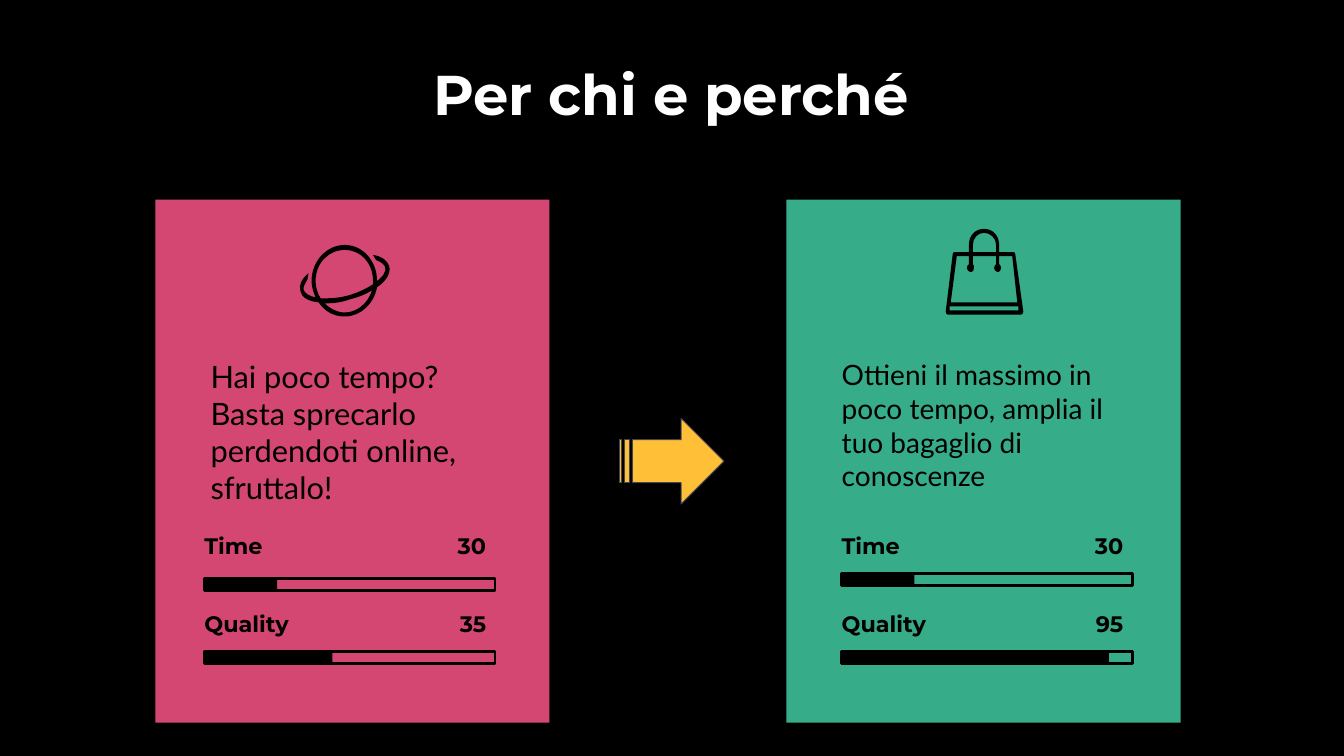
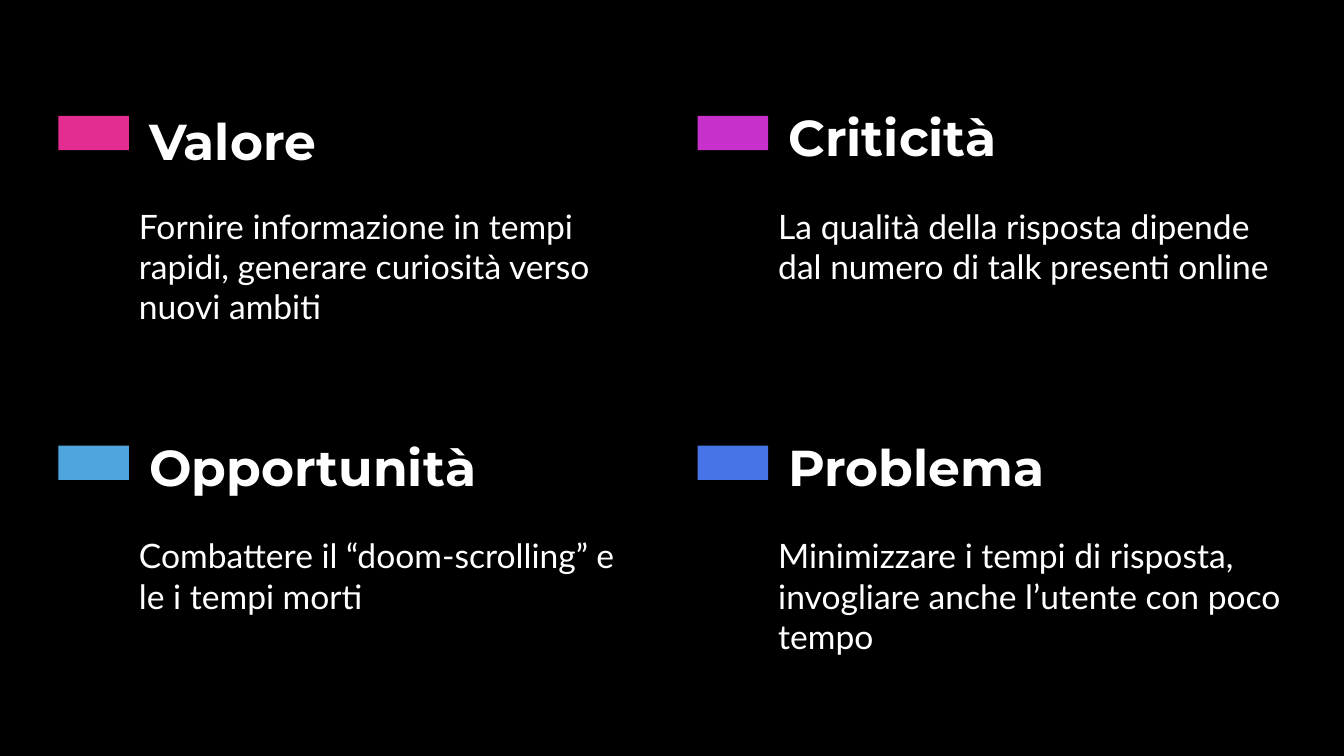
from dataclasses import dataclass

from lxml import etree
from pptx import Presentation
from pptx.dml.color import RGBColor
from pptx.enum.shapes import MSO_SHAPE
from pptx.enum.text import MSO_ANCHOR, PP_ALIGN
from pptx.oxml.ns import qn
from pptx.util import Inches, Pt

RECT, ARROW = MSO_SHAPE.RECTANGLE, MSO_SHAPE.STRIPED_RIGHT_ARROW
TOP, MID = MSO_ANCHOR.TOP, MSO_ANCHOR.MIDDLE
LEFT, MID_X, RIGHT = PP_ALIGN.LEFT, PP_ALIGN.CENTER, PP_ALIGN.RIGHT
WIDE, HIGH = 13.33, 7.5


@dataclass(frozen=True)
class Theme:
    # Colours
    black: str = "000000"
    white: str = "FFFFFF"
    rose: str = "D54773"
    green: str = "36AC88"
    gold: str = "FFC038"
    edge: str = "454551"
    pink: str = "E32D91"
    plum: str = "C830CC"
    sky: str = "4EA6DC"
    blue: str = "4775E7"
    # Fonts and sizes
    head: str = "Montserrat"
    body: str = "Lato"
    title: int = 40
    topic: int = 36
    text: int = 24
    label: int = 16


T = Theme()

# Icon contours in hundredths of an inch: a start, then lines (2) or curves (6)
PLANET = [
    [(90, 21), (88, 15, 82, 11, 74, 10), (75, 12, 76, 13, 77, 15),
     (82, 17, 85, 19, 86, 22), (87, 24, 86, 26, 85, 28),
     (84, 31, 81, 33, 78, 36), (78, 16, 64, 0, 46, 0),
     (28, 0, 13, 16, 13, 36), (13, 42, 15, 47, 17, 52),
     (11, 51, 6, 48, 5, 44), (5, 43, 5, 41, 7, 38),
     (7, 37, 8, 36, 9, 34), (9, 32, 10, 30, 10, 28),
     (3, 34, 0, 40, 2, 46), (3, 52, 10, 56, 20, 57),
     (26, 66, 35, 71, 46, 71), (62, 71, 75, 58, 78, 42),
     (87, 36, 92, 28, 90, 21)],
    [(46, 67), (38, 67, 31, 63, 26, 58), (26, 58, 27, 58, 28, 58),
     (35, 58, 43, 57, 51, 54), (59, 52, 67, 49, 73, 45),
     (69, 58, 58, 67, 46, 67)],
    [(74, 39), (68, 43, 60, 47, 50, 50), (43, 52, 35, 53, 28, 53),
     (26, 53, 24, 53, 22, 53), (19, 48, 17, 42, 17, 36),
     (17, 18, 30, 5, 46, 5), (62, 5, 74, 18, 74, 36),
     (74, 37, 74, 38, 74, 39)],
]
BAG = [
    [(77, 82), (69, 25), (69, 24, 68, 23, 67, 23), (53, 23), (53, 16),
     (53, 7, 47, 0, 38, 0), (29, 0, 23, 7, 23, 16), (23, 23), (9, 23),
     (8, 23, 7, 24, 7, 25), (0, 82), (0, 84, 1, 85, 2, 85), (75, 85),
     (76, 85, 77, 84, 77, 82)],
    [(27, 16), (27, 9, 32, 4, 38, 4), (44, 4, 50, 9, 50, 16), (50, 23),
     (27, 23)],
    [(11, 27), (23, 27), (23, 35), (22, 36, 21, 37, 21, 39),
     (21, 41, 23, 43, 25, 43), (27, 43, 28, 41, 28, 39),
     (28, 37, 28, 36, 27, 35), (27, 27), (50, 27), (50, 35),
     (49, 36, 48, 37, 48, 39), (48, 41, 50, 43, 52, 43),
     (53, 43, 55, 41, 55, 39), (55, 37, 54, 36, 53, 35), (53, 27),
     (66, 27), (71, 73), (5, 73)],
    [(4, 81), (4, 77), (72, 77), (72, 81)],
]


def rgb(code):
    return RGBColor.from_string(code)


def paint(shape, fill=None, line=None, width=1):
    shape.shadow.inherit = False
    if fill:
        shape.fill.solid()
        shape.fill.fore_color.rgb = rgb(fill)
    else:
        shape.fill.background()
    if line:
        shape.line.color.rgb = rgb(line)
        shape.line.width = Pt(width)
    else:
        shape.line.fill.background()


def add_form(slide, box, fill=None, line=None, width=1, kind=RECT):
    shape = slide.shapes.add_shape(kind, *map(Inches, box))
    paint(shape, fill, line, width)


def add_text(slide, box, text, size, color, font=T.body, align=LEFT, anchor=TOP):
    frame = slide.shapes.add_textbox(*map(Inches, box)).text_frame
    frame.word_wrap = True
    frame.vertical_anchor = anchor
    frame.text = text
    par = frame.paragraphs[0]
    par.alignment = align
    style = par.runs[0].font
    style.name, style.size, style.bold = font, Pt(size), font == T.head
    style.color.rgb = rgb(color)


def bend(line, seg, left, top):
    """Turn a line segment into the cubic curve given by seg."""
    line.clear()
    line.tag = qn("a:cubicBezTo")
    for x, y in zip(seg[::2], seg[1::2]):
        etree.SubElement(line, qn("a:pt"), x=str(x - left), y=str(y - top))


def add_icon(slide, left, top, contours):
    # Straight outline through the end points
    ends = [[seg[-2:] for seg in contour] for contour in contours]
    pen = slide.shapes.build_freeform(*ends[0][0], scale=Inches(1) / 100)
    for spot, pts in enumerate(ends):
        if spot:
            pen.move_to(*pts[0])
        pen.add_line_segments(pts[1:], close=True)
    shape = pen.convert_to_shape(Inches(left), Inches(top))
    paint(shape, T.black)
    # Curves in place of the lines that need them
    low_x, low_y = (min(axis) for axis in zip(*sum(ends, [])))
    segs = [seg for contour in contours for seg in contour[1:]]
    for line, seg in zip(list(shape._element.iter(qn("a:lnTo"))), segs):
        if len(seg) == 6:
            bend(line, seg, low_x, low_y)


def add_meter(slide, left, top, drop, name, value, share):
    """Label and value above a bar that is filled to the given share."""
    split, span = 2.26, 2.88
    add_text(slide, (left, top, split, 0.19), name, T.label, T.black,
             T.head, anchor=MID)
    add_text(slide, (left + split, top, 0.73, 0.19), value, T.label, T.black,
             T.head, RIGHT, MID)
    bar = left + 0.1, top + drop
    add_form(slide, (*bar, span * share, 0.12), T.black)
    add_form(slide, (*bar, span, 0.12), line=T.black, width=2)


def add_card(slide, col, fill, text, size, inset, meters):
    left, top = 1.54 + col * 6.26, 1.98
    add_form(slide, (left, top, 3.91, 5.19), fill)
    add_text(slide, (left + 0.45, 3.5, 3.02, 1.45), text, size, T.black)
    for row, meter in enumerate(meters):
        add_meter(slide, left + inset, 5.32 + row * 0.77, *meter)


def add_topic(slide, col, row, color, rise, width, name, text):
    left, top = 0.58 + col * 6.34, 1.15 + row * 3.27
    add_form(slide, (left, top, 0.7, 0.34), color)
    add_text(slide, (left + 0.8, top - rise, width, 0.71), name, T.topic,
             T.white, T.head)
    add_text(slide, (left + 0.7, top + 0.84, 5.19, 1.31), text, T.text, T.white)


def add_page(deck):
    slide = deck.slides.add_slide(deck.slide_layouts[6])
    slide.background.fill.solid()
    slide.background.fill.fore_color.rgb = rgb(T.black)
    return slide


def make_cards(deck):
    slide = add_page(deck)
    add_text(slide, (3.85, 0.33, 5.61, 1.18), "Per chi e perché", T.title,
             T.white, T.head, MID_X, MID)
    add_card(slide, 0, T.rose,
             "Hai poco tempo? Basta sprecarlo perdendoti online, sfruttalo!",
             22, 0.39, [(0.42, "Time", "30", 0.25),
                        (0.37, "Quality", "35", 0.44)])
    add_card(slide, 1, T.green,
             "Ottieni il massimo in poco tempo, amplia il tuo bagaglio di conoscenze",
             20, 0.45, [(0.37, "Time", "30", 0.25),
                        (0.37, "Quality", "95", 0.92)])
    add_icon(slide, 2.96, 2.43, PLANET)
    add_icon(slide, 9.38, 2.27, BAG)
    add_form(slide, (6.14, 4.15, 1.04, 0.85), T.gold, T.edge, 0.75, ARROW)


def make_topics(deck):
    slide = add_page(deck)
    topics = [
        (T.pink, 0.11, 3.69, "Valore",
         "Fornire informazione in tempi rapidi, generare curiosità verso nuovi ambiti"),
        (T.plum, 0.15, 2.96, "Criticità",
         "La qualità della risposta dipende dal numero di talk presenti online"),
        (T.sky, 0.14, 3.54, "Opportunità",
         "Combattere il “doom-scrolling” e le i tempi morti"),
        (T.blue, 0.14, 3.18, "Problema",
         "Minimizzare i tempi di risposta, invogliare anche l’utente con poco tempo"),
    ]
    for spot, topic in enumerate(topics):
        row, col = divmod(spot, 2)
        add_topic(slide, col, row, *topic)


def main():
    deck = Presentation()
    deck.slide_width, deck.slide_height = Inches(WIDE), Inches(HIGH)
    make_cards(deck)
    make_topics(deck)
    deck.save("out.pptx")


if __name__ == "__main__":
    main()
